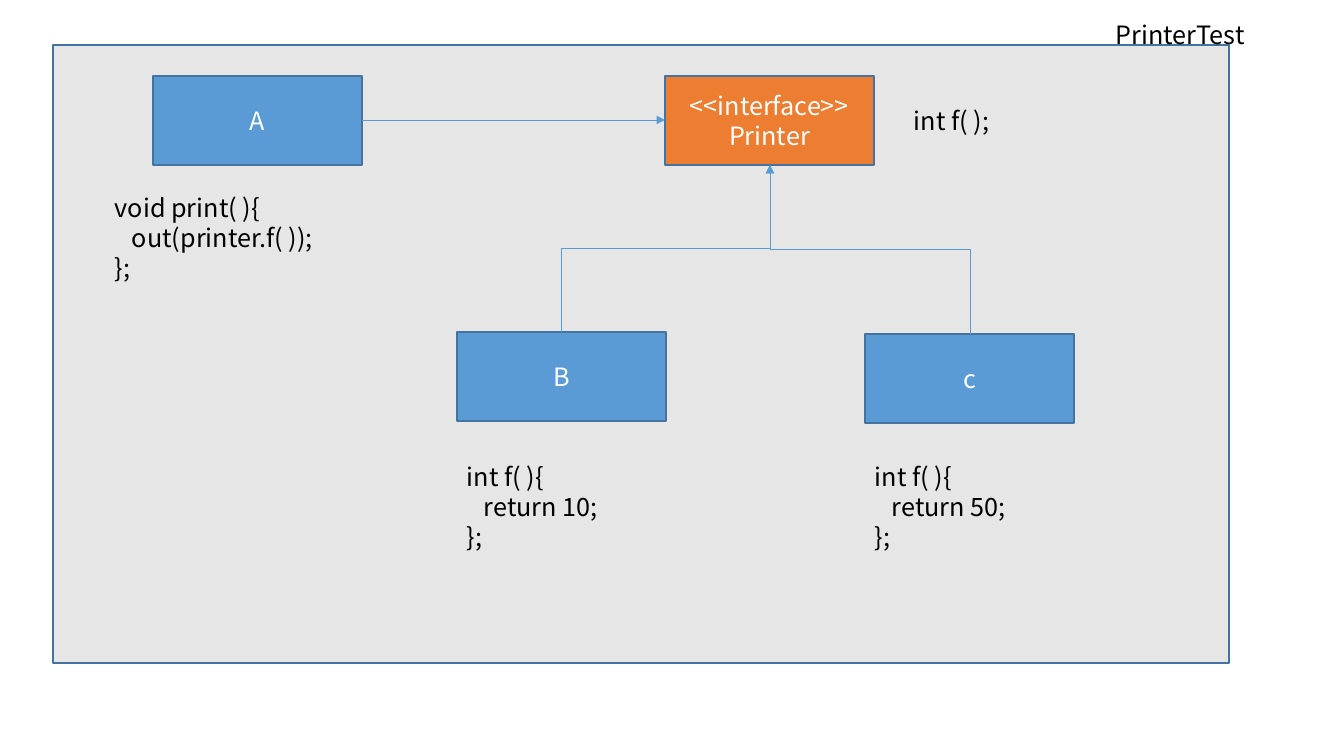
from lxml import etree
from pptx import Presentation
from pptx.dml.color import RGBColor
from pptx.enum.shapes import MSO_CONNECTOR, MSO_SHAPE
from pptx.enum.text import MSO_ANCHOR, MSO_AUTO_SIZE, PP_ALIGN
from pptx.oxml.ns import qn
from pptx.util import Pt

RECTANGLE = MSO_SHAPE.RECTANGLE
STRAIGHT, ELBOW = MSO_CONNECTOR.STRAIGHT, MSO_CONNECTOR.ELBOW
CENTER, LEFT = PP_ALIGN.CENTER, PP_ALIGN.LEFT
MIDDLE = MSO_ANCHOR.MIDDLE
FIT_SHAPE = MSO_AUTO_SIZE.SHAPE_TO_FIT_TEXT

WHITE = RGBColor(0xFF, 0xFF, 0xFF)
BLACK = RGBColor(0x00, 0x00, 0x00)
GRAY = RGBColor(0xE7, 0xE6, 0xE6)
BLUE = RGBColor(0x5B, 0x9B, 0xD5)
ORANGE = RGBColor(0xED, 0x7D, 0x31)
OUTLINE = RGBColor(0x43, 0x73, 0x9E)

FONT = "Noto Sans CJK KR"
PIXEL = 914400 / 100.8
BOX_WIDTH, BOX_HEIGHT = 209, 89
CODE_INDENT = 17

presentation = Presentation()
presentation.slide_width = round(1344 * PIXEL)
presentation.slide_height = round(756 * PIXEL)
slide = presentation.slides.add_slide(presentation.slide_layouts[6])


def write_lines(text_frame, lines, color, alignment):
    for index, line in enumerate(lines):
        paragraph = text_frame.paragraphs[0] if index == 0 else text_frame.add_paragraph()
        paragraph.alignment = alignment
        run = paragraph.add_run()
        run.text = line
        run.font.name = FONT
        run.font.size = Pt(18)
        run.font.color.rgb = color


def add_arrow(kind, *ends):
    arrow = slide.shapes.add_connector(kind, *[round(end * PIXEL) for end in ends])
    arrow.line.color.rgb = BLUE
    arrow.line.width = Pt(0.5)
    etree.SubElement(arrow.line._get_or_add_ln(), qn("a:tailEnd"), type="triangle")
    etree.SubElement(arrow._element.spPr, qn("a:effectLst"))
    return arrow


# Test frame and class boxes
boxes = [
    (53, 45, 1176, 618, GRAY, []),
    (153, 76, BOX_WIDTH, BOX_HEIGHT, BLUE, ["A"]),
    (665, 76, BOX_WIDTH, BOX_HEIGHT, ORANGE, ["<<interface>>", "Printer"]),
    (457, 332, BOX_WIDTH, BOX_HEIGHT, BLUE, ["B"]),
    (865, 334, BOX_WIDTH, BOX_HEIGHT, BLUE, ["c"]),
]
for left, top, width, height, color, lines in boxes:
    box = slide.shapes.add_shape(
        RECTANGLE, *[round(length * PIXEL) for length in (left, top, width, height)])
    box.shadow.inherit = False
    box.fill.solid()
    box.fill.fore_color.rgb = color
    box.line.color.rgb = OUTLINE
    box.line.width = Pt(1)
    box.text_frame.vertical_anchor = MIDDLE
    write_lines(box.text_frame, lines, WHITE, CENTER)

# A uses the interface
add_arrow(STRAIGHT, 362, 120, 665, 120)

# B and c implement the interface: elbows turned to leave upwards
printer_x, printer_bottom = 770, 165
for class_x, class_top, side, rotation in [(561, 332, 1, 90), (970, 334, -1, 270)]:
    center_x = (class_x + printer_x) / 2
    center_y = (class_top + printer_bottom) / 2
    half_rise = side * (class_top - printer_bottom) / 2
    half_run = abs(class_x - printer_x) / 2
    elbow = add_arrow(ELBOW, center_x + half_rise, center_y + half_run,
                      center_x - half_rise, center_y - half_run)
    elbow._element.spPr.find(qn("a:xfrm")).set("rot", str(rotation * 60000))

# Code labels and title
labels = [
    (904, 100, 137, 40, ["int f( );"]),
    (457, 456, 217, 102, ["int f( ){", "return 10;", "};"]),
    (865, 456, 217, 102, ["int f( ){", "return 50;", "};"]),
    (105, 187, 304, 102, ["void print( ){", "out(printer.f( ));", "};"]),
    (1106, 14, 166, 40, ["PrinterTest"]),
]
for left, top, width, height, lines in labels:
    label = slide.shapes.add_textbox(
        *[round(length * PIXEL) for length in (left, top, width, height)])
    label.text_frame.word_wrap = True
    label.text_frame.auto_size = FIT_SHAPE
    write_lines(label.text_frame, lines, BLACK, LEFT)
    for body in label.text_frame.paragraphs[1:-1]:
        body._p.get_or_add_pPr().set("marL", str(round(CODE_INDENT * PIXEL)))

presentation.save("out.pptx")
